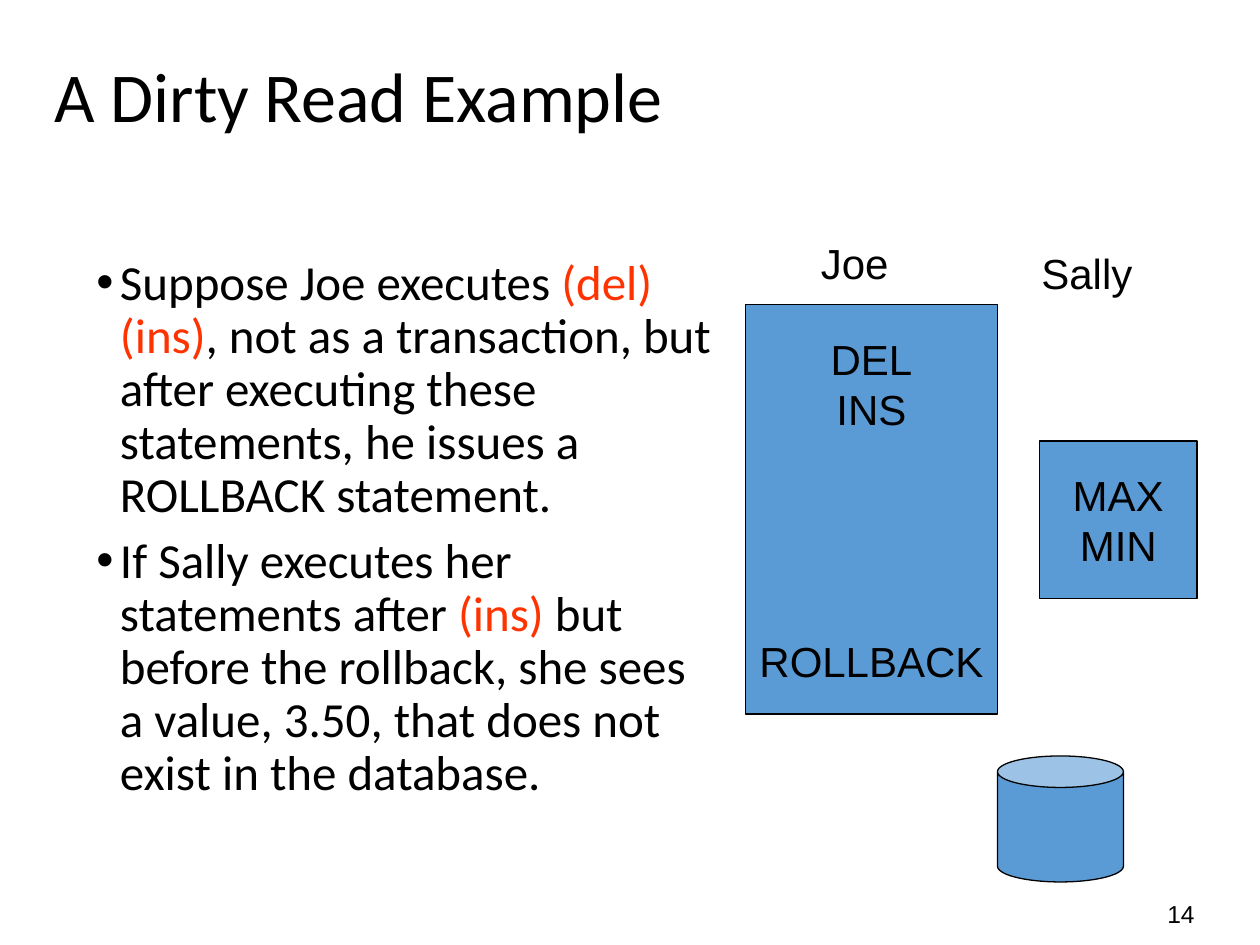
from lxml import etree
from pptx import Presentation
from pptx.dml.color import RGBColor
from pptx.enum.shapes import MSO_SHAPE as SHAPE
from pptx.enum.text import MSO_ANCHOR as ANCHOR, PP_ALIGN as ALIGN
from pptx.oxml.ns import qn
from pptx.util import Pt

BLACK, RED, BLUE = "000000", "FF3300", "5B9BD5"
BULLETS = [
    [("Suppose Joe executes ", BLACK), ("(del)(ins)", RED),
     (", not as a transaction, but after executing these statements, "
      "he issues a ROLLBACK statement.", BLACK)],
    [("If Sally executes her statements after ", BLACK), ("(ins)", RED),
     (" but before the rollback, she sees a value, 3.50, "
      "that does not exist in the database.", BLACK)],
]


def rgb(color):
    return RGBColor.from_string(color)


def add_run(p, text, size, font="Arial", color=BLACK):
    r = p.add_run()
    r.text = text
    r.font.size = Pt(size)
    r.font.name = font
    r.font.color.rgb = rgb(color)


def add_text_box(s, box):
    tf = s.shapes.add_textbox(*map(Pt, box)).text_frame
    tf.word_wrap = True
    return tf


def add_label(s, box, text, size):
    add_run(add_text_box(s, box).paragraphs[0], text, size)


def add_title(s, box, text):
    tf = add_text_box(s, box)
    tf.vertical_anchor = ANCHOR.MIDDLE
    p = tf.paragraphs[0]
    p.line_spacing = 0.9
    add_run(p, text, 40, "Calibri")


def add_bullet(p, indent):
    pPr = p._p.get_or_add_pPr()
    pPr.set("marL", str(Pt(indent)))
    pPr.set("indent", str(Pt(-indent)))
    etree.SubElement(pPr, qn("a:buFont"), typeface="Arial")
    etree.SubElement(pPr, qn("a:buChar"), char="•")


def add_bullets(s, box, items):
    tf = add_text_box(s, box)
    for i, runs in enumerate(items):
        p = tf.add_paragraph() if i else tf.paragraphs[0]
        add_bullet(p, 13.5)
        p.line_spacing = 0.9
        if i:
            p.space_before = Pt(7.5)
        for text, color in runs:
            add_run(p, text, 28, "Calibri", color)


def add_block(s, kind, box, lines=()):
    """Add a filled shape; each line is its text and the space before it."""
    sp = s.shapes.add_shape(kind, *map(Pt, box))
    sp.shadow.inherit = False
    sp.fill.solid()
    sp.fill.fore_color.rgb = rgb(BLUE)
    sp.line.color.rgb = rgb(BLACK)
    sp.line.width = Pt(0.75)
    tf = sp.text_frame
    tf.word_wrap = False
    tf.vertical_anchor = ANCHOR.MIDDLE
    for i, (text, gap) in enumerate(lines):
        p = tf.add_paragraph() if i else tf.paragraphs[0]
        p.alignment = ALIGN.CENTER
        if gap:
            p.space_before = Pt(gap)
        add_run(p, text, 24)


def main():
    prs = Presentation()
    prs.slide_width, prs.slide_height = Pt(720), Pt(540)
    s = prs.slides.add_slide(prs.slide_layouts[6])
    add_label(s, (660, 510, 42, 24), "14", 14)
    add_title(s, (24, 12, 672, 90), "A Dirty Read Example")
    add_bullets(s, (48, 144, 366, 384), BULLETS)
    add_block(s, SHAPE.RECTANGLE, (426, 174, 144, 234),
              [("DEL", 0), ("INS", 0), ("ROLLBACK", 115)])
    add_block(s, SHAPE.RECTANGLE, (594, 252, 90, 90),
              [("MAX", 0), ("MIN", 0)])
    add_label(s, (462, 132, 72, 36), "Joe", 24)
    add_label(s, (588, 138, 72, 36), "Sally", 24)
    add_block(s, SHAPE.CAN, (570, 432, 72, 72))
    prs.save("out.pptx")


if __name__ == "__main__":
    main()
